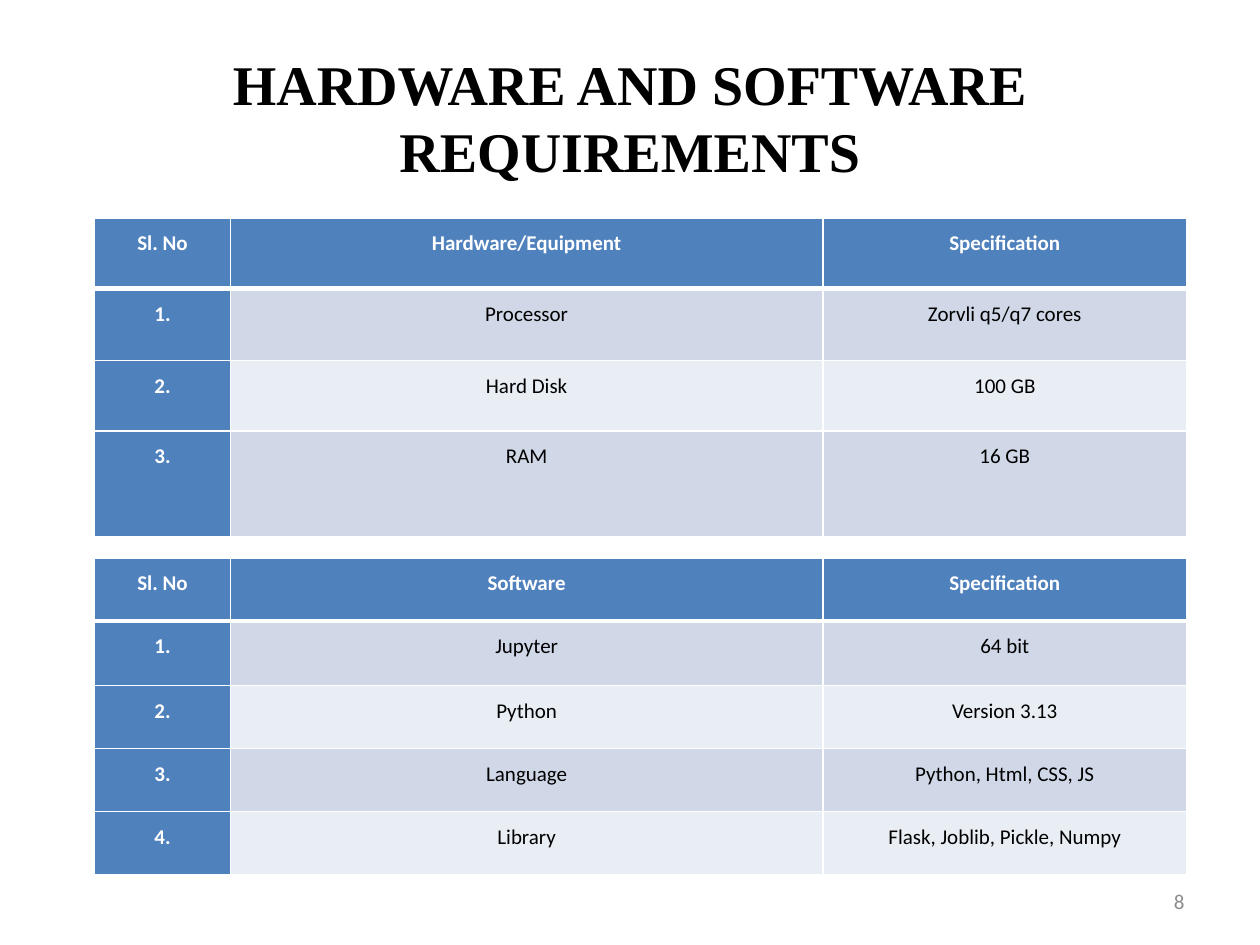
from pptx import Presentation
from pptx.dml.color import RGBColor
from pptx.enum.text import MSO_ANCHOR as Anchor, PP_ALIGN as Align
from pptx.oxml.ns import qn
from pptx.util import Inches, Pt
from lxml.etree import SubElement

COLORS = {"header": "4F81BD", "odd": "D0D8E8", "even": "E9EDF4",
          "white": "FFFFFF", "black": "000000", "gray": "8C8C8C"}

# Content
TITLE = "HARDWARE AND SOFTWARE REQUIREMENTS"
PAGE_NUMBER = "8"
TABLES = [
    {"top": 1.73, "heights": [0.56, 0.57, 0.56, 0.84], "rows": [
        ("Sl. No", "Hardware/Equipment", "Specification"),
        ("1.", "Processor", "Zorvli q5/q7 cores"),
        ("2.", "Hard Disk", "100 GB"),
        ("3.", "RAM", "16 GB")]},
    {"top": 4.43, "heights": [0.5, 0.51, 0.5, 0.5, 0.5], "rows": [
        ("Sl. No", "Software", "Specification"),
        ("1.", "Jupyter", "64 bit"),
        ("2.", "Python", "Version 3.13"),
        ("3.", "Language", "Python, Html, CSS, JS"),
        ("4.", "Library", "Flask, Joblib, Pickle, Numpy")]},
]
TABLE_LEFT = 0.75
COLUMN_WIDTHS = [1.08, 4.7, 2.89]


def color(name):
    return RGBColor.from_string(COLORS[name])


def write(paragraph, text, size, color_name, align, font="Calibri", bold=False):
    paragraph.alignment = align
    run = paragraph.add_run()
    run.text = text
    run.font.name = font
    run.font.size = Pt(size)
    run.font.bold = bold
    run.font.color.rgb = color(color_name)


def add_text(slide, box, *args, **style):
    frame = slide.shapes.add_textbox(*map(Inches, box)).text_frame
    frame.word_wrap = True
    frame.vertical_anchor = Anchor.MIDDLE
    write(frame.paragraphs[0], *args, **style)


def set_borders(cell, top, bottom):
    properties = cell._tc.get_or_add_tcPr()
    widths = {"a:lnL": 1, "a:lnR": 1, "a:lnT": top, "a:lnB": bottom}
    for tag, width in widths.items():
        line = SubElement(properties, qn(tag), w=str(Pt(width)))
        fill = SubElement(line, qn("a:solidFill"))
        SubElement(fill, qn("a:srgbClr"), val=COLORS["white"])


def fill_cell(cell, text, row, column):
    emphasized = row == 0 or column == 0
    # The header row has a thick rule below it
    set_borders(cell, top=3 if row == 1 else 1, bottom=3 if row == 0 else 1)
    cell.fill.solid()
    band = "odd" if row % 2 else "even"
    cell.fill.fore_color.rgb = color("header" if emphasized else band)
    cell.margin_left = cell.margin_right = Inches(0.07)
    cell.margin_top = cell.margin_bottom = 0
    paragraph = cell.text_frame.paragraphs[0]
    paragraph.line_spacing = 1.5
    paragraph.space_after = Pt(8)
    write(paragraph, text, 12, "white" if emphasized else "black",
          Align.CENTER, bold=emphasized)


def add_requirements(slide, top, heights, rows):
    table = slide.shapes.add_table(
        len(rows), len(COLUMN_WIDTHS), Inches(TABLE_LEFT), Inches(top),
        Inches(sum(COLUMN_WIDTHS)), Inches(sum(heights))).table
    table.first_col = True
    for column, width in zip(table.columns, COLUMN_WIDTHS):
        column.width = Inches(width)
    for r, (height, texts) in enumerate(zip(heights, rows)):
        table.rows[r].height = Inches(height)
        for c, text in enumerate(texts):
            fill_cell(table.cell(r, c), text, r, c)


def main():
    presentation = Presentation()
    presentation.slide_width = Inches(10)
    presentation.slide_height = Inches(7.5)
    slide = presentation.slides.add_slide(presentation.slide_layouts[6])

    # Title and page number
    add_text(slide, (0.5, 0.3, 9, 1.25), TITLE, 32, "black",
             Align.CENTER, font="Times New Roman", bold=True)
    add_text(slide, (7.17, 6.95, 2.33, 0.4), PAGE_NUMBER, 12, "gray", Align.RIGHT)

    # Hardware and software tables
    for requirements in TABLES:
        add_requirements(slide, **requirements)

    presentation.save("out.pptx")


if __name__ == "__main__":
    main()
